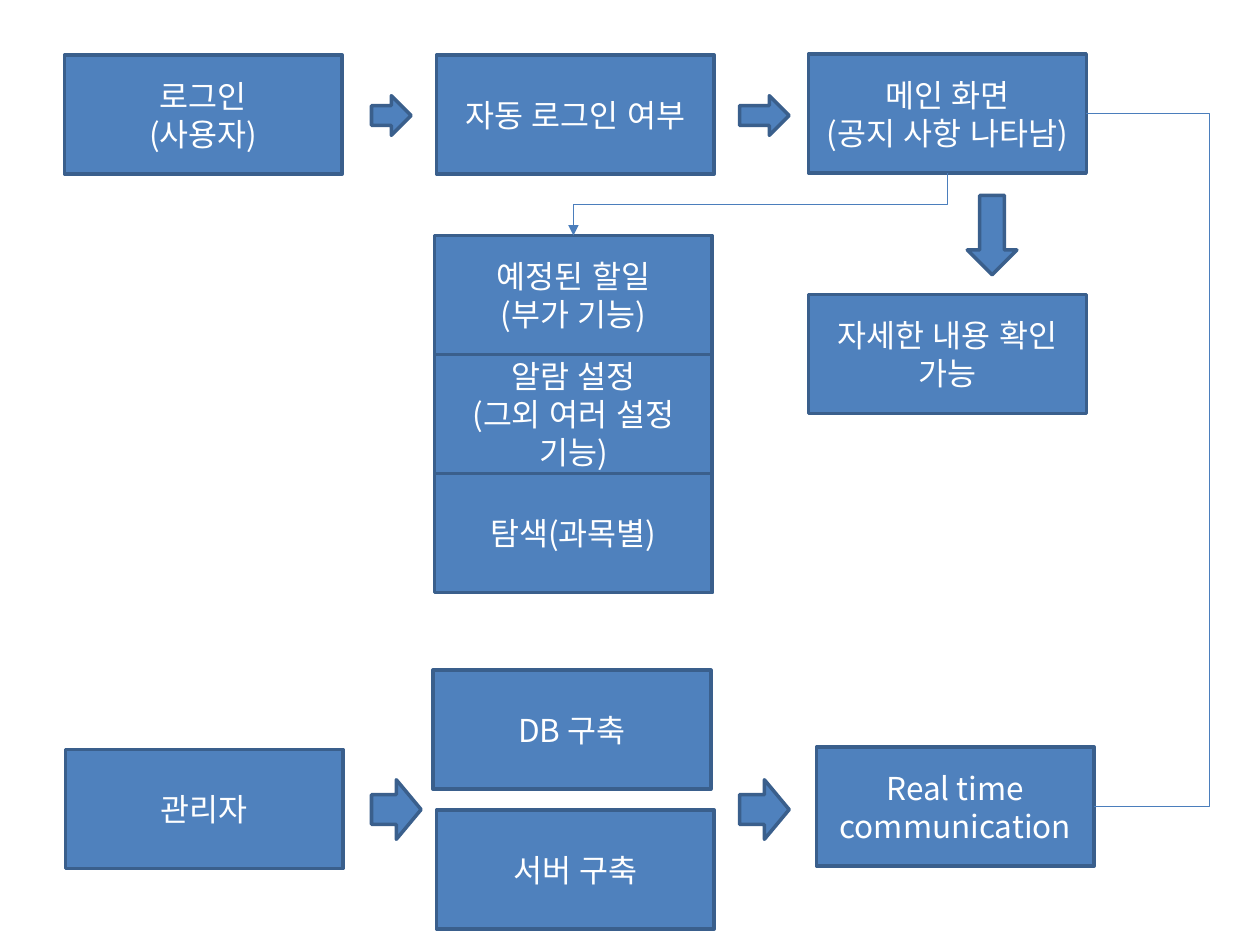
from dataclasses import dataclass

from lxml import etree
from pptx import Presentation
from pptx.dml.color import RGBColor
from pptx.enum.lang import MSO_LANGUAGE_ID
from pptx.enum.shapes import MSO_CONNECTOR, MSO_SHAPE
from pptx.enum.text import MSO_ANCHOR, PP_ALIGN
from pptx.oxml.ns import qn
from pptx.util import Cm, Pt

RECT = MSO_SHAPE.RECTANGLE
RIGHT = MSO_SHAPE.RIGHT_ARROW
DOWN = MSO_SHAPE.DOWN_ARROW
ELBOW = MSO_CONNECTOR.ELBOW
KOREAN = MSO_LANGUAGE_ID.KOREAN
CENTER = PP_ALIGN.CENTER
MIDDLE = MSO_ANCHOR.MIDDLE


@dataclass(frozen=True)
class Theme:
    fill: RGBColor = RGBColor(0x4F, 0x81, 0xBD)
    outline: RGBColor = RGBColor(0x3A, 0x5F, 0x8C)
    link: RGBColor = RGBColor(0x4B, 0x7E, 0xBC)
    text: RGBColor = RGBColor(0xFF, 0xFF, 0xFF)
    font: str = "Noto Sans CJK KR"
    size: Pt = Pt(18)
    outline_width: Pt = Pt(2)
    link_width: Pt = Pt(0.75)


THEME = Theme()
STEP_WIDTH, STEP_HEIGHT = 5.6, 2.4
USER_COLUMN, CHECK_COLUMN, MAIN_COLUMN = 1.3, 8.8, 16.3
MENU_LEFT, MENU_TOP = 8.76, 4.75
LINK_RIGHT = Cm(24.38)


def write_lines(frame, lines, size=THEME.size, color=THEME.text, align=CENTER):
    frame.word_wrap = True
    frame.vertical_anchor = MIDDLE
    for index, line in enumerate(lines):
        paragraph = frame.add_paragraph() if index else frame.paragraphs[0]
        paragraph.alignment = align
        run = paragraph.add_run()
        run.text = line
        font = run.font
        font.size = size
        font.color.rgb = color
        font.name = THEME.font
        font.language_id = KOREAN
        east_asian = etree.SubElement(run._r.get_or_add_rPr(), qn("a:ea"))
        east_asian.set("typeface", THEME.font)


def add_block(slide, preset, left, top, width, height):
    block = slide.shapes.add_shape(preset, Cm(left), Cm(top), Cm(width), Cm(height))
    block.shadow.inherit = False
    block.fill.solid()
    block.fill.fore_color.rgb = THEME.fill
    block.line.color.rgb = THEME.outline
    block.line.width = THEME.outline_width
    return block


def add_step(slide, left, top, *lines):
    step = add_block(slide, RECT, left, top, STEP_WIDTH, STEP_HEIGHT)
    write_lines(step.text_frame, lines)
    return step


def add_elbow(slide, start_x, start_y, end_x, end_y):
    link = slide.shapes.add_connector(ELBOW, start_x, start_y, end_x, end_y)
    link.line.color.rgb = THEME.link
    link.line.width = THEME.link_width
    etree.SubElement(link._element.spPr, qn("a:effectLst"))
    return link


def link_down(slide, upper, lower):
    """Arrow from the bottom of one step to the top of another, further left."""
    start_x, start_y = upper.left + upper.width // 2, upper.top + upper.height
    end_x, end_y = lower.left + lower.width // 2, lower.top
    middle_x, middle_y = (start_x + end_x) // 2, (start_y + end_y) // 2
    # The elbow is laid out sideways, then turned a quarter about its centre.
    half_drop, half_run = (end_y - start_y) // 2, (start_x - end_x) // 2
    link = add_elbow(slide, middle_x - half_drop, middle_y - half_run,
                     middle_x + half_drop, middle_y + half_run)
    link._element.spPr.find(qn("a:xfrm")).set("rot", "5400000")
    etree.SubElement(link.line._get_or_add_ln(), qn("a:tailEnd")).set("type", "triangle")


def link_right_sides(slide, upper, lower, bend_x):
    """Line between two right sides, running down at bend_x."""
    start_x, end_x = upper.left + upper.width, lower.left + lower.width
    link = add_elbow(slide, start_x, upper.top + upper.height // 2,
                     end_x, lower.top + lower.height // 2)
    bend = round(100000 * (bend_x - start_x) / (end_x - start_x))
    adjustments = link._element.spPr.find(qn("a:prstGeom")).get_or_add_avLst()
    guide = etree.SubElement(adjustments, qn("a:gd"))
    guide.set("name", "adj1")
    guide.set("fmla", f"val {bend}")


def add_user_flow(slide):
    add_step(slide, USER_COLUMN, 1.11, "로그인", "(사용자)")
    add_step(slide, CHECK_COLUMN, 1.11, "자동 로그인 여부")
    main_screen = add_step(slide, MAIN_COLUMN, 1.09, "메인 화면", "(공지 사항 나타남)")
    add_block(slide, RIGHT, 7.49, 1.93, 0.8, 0.8)
    add_block(slide, RIGHT, 14.91, 1.93, 1, 0.8)
    add_block(slide, DOWN, 19.5, 3.94, 1, 1.6)
    add_step(slide, MAIN_COLUMN, 5.94, "자세한 내용 확인", "가능")

    menu_entries = [
        ("예정된 할일", "(부가 기능)"),
        ("알람 설정", "(그외 여러 설정 기능)"),
        ("탐색(과목별)",),
    ]
    menu = [add_step(slide, MENU_LEFT, MENU_TOP + row * STEP_HEIGHT, *lines)
            for row, lines in enumerate(menu_entries)]
    link_down(slide, main_screen, menu[0])
    return main_screen


def add_admin_flow(slide):
    add_step(slide, USER_COLUMN + 0.02, 15.11, "관리자")
    add_step(slide, 8.73, 13.51, "DB 구축")
    add_step(slide, CHECK_COLUMN, 16.33, "서버 구축")
    for left in (7.49, 14.91):
        add_block(slide, RIGHT, left, 15.72, 1, 1.2)
    return add_step(slide, 16.46, 15.06, "Real time communication")


def main():
    deck = Presentation()
    deck.slide_width, deck.slide_height = Cm(25.4), Cm(19.05)
    slide = deck.slides.add_slide(deck.slide_layouts[6])
    main_screen = add_user_flow(slide)
    communication = add_admin_flow(slide)
    link_right_sides(slide, main_screen, communication, LINK_RIGHT)
    deck.save("out.pptx")


if __name__ == "__main__":
    main()
